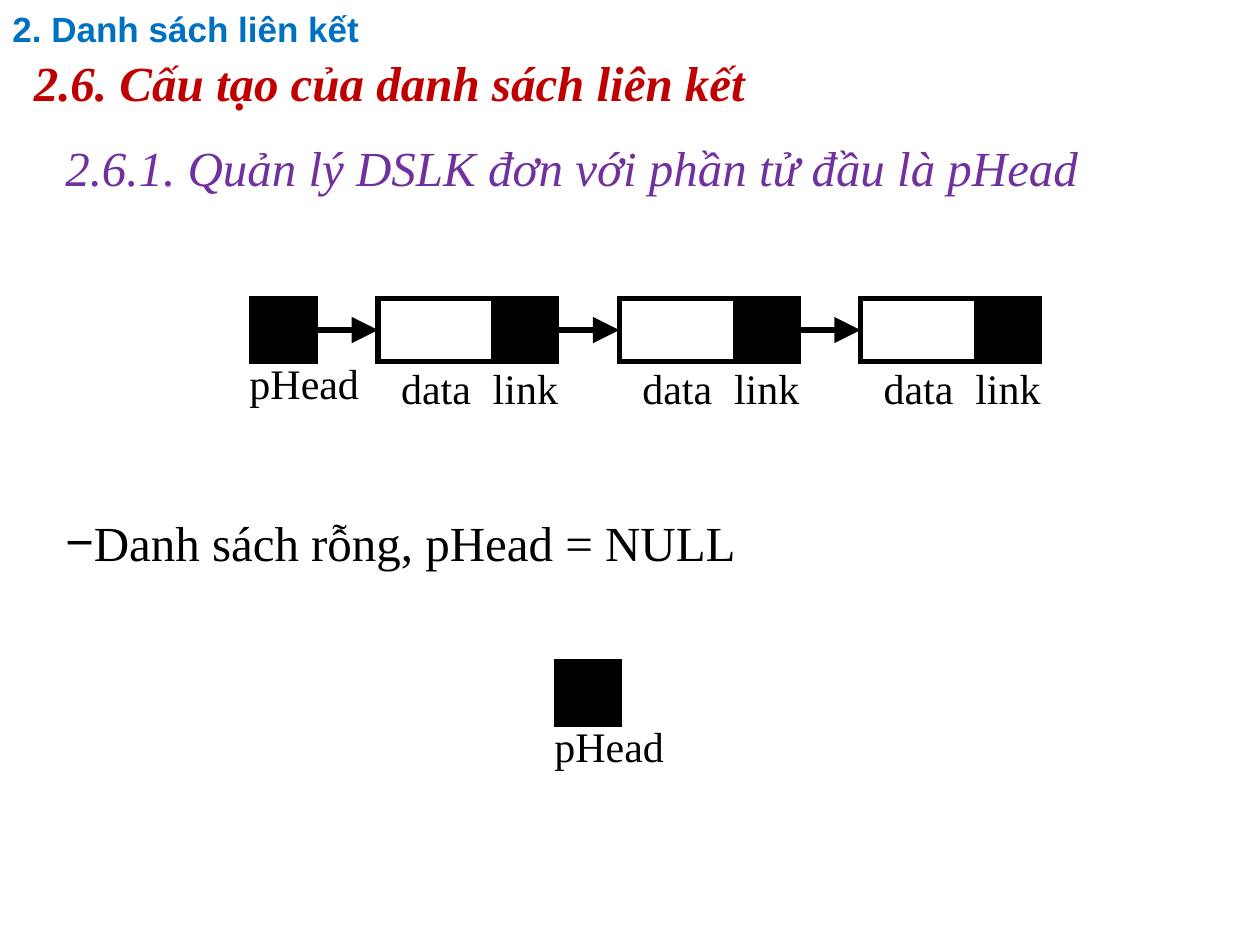
from lxml import etree
from pptx import Presentation
from pptx import util as u
from pptx.dml.color import RGBColor
from pptx.enum import shapes, text
from pptx.oxml.ns import qn

BLACK = RGBColor(0x00, 0x00, 0x00)
WHITE = RGBColor(0xFF, 0xFF, 0xFF)
BLUE = RGBColor(0x00, 0x70, 0xC0)
RED = RGBColor(0xC0, 0x00, 0x00)
PURPLE = RGBColor(0x70, 0x30, 0xA0)

SERIF = "Times New Roman"
SANS = "Arial"
CELL = 0.5
DATA_WIDTH = 0.92
NODE_PITCH = DATA_WIDTH + 2 * CELL - 0.005
LIST_LEFT, LIST_TOP = 2, 2.37
NODE_COUNT = 3
LABEL_OVERHANG = 0.1


def add_text(slide, box, words, size, color=BLACK, font_name=SERIF, bold=False, italic=False):
    shape = slide.shapes.add_textbox(*map(u.Inches, box))
    frame = shape.text_frame
    frame.text = words
    frame.word_wrap = True
    font = frame.paragraphs[0].runs[0].font
    font.name, font.size = font_name, u.Pt(size)
    font.bold, font.italic = bold, italic
    font.color.rgb = color
    return frame


def add_bullet(paragraph, mark, indent):
    properties = paragraph._p.get_or_add_pPr()
    properties.set("marL", str(u.Inches(indent)))
    properties.set("indent", str(-u.Inches(indent)))
    etree.SubElement(properties, qn("a:buFont"), typeface=SANS)
    etree.SubElement(properties, qn("a:buChar"), char=mark)


def add_label(slide, left, top, width, height, words):
    """Centre a label under a cell, in a box that overhangs it on both sides."""
    box = (left - LABEL_OVERHANG, top, width + 2 * LABEL_OVERHANG, height)
    frame = add_text(slide, box, words, 24)
    frame.word_wrap = False
    frame.vertical_anchor = text.MSO_ANCHOR.MIDDLE
    frame.margin_left = frame.margin_right = 0
    frame.paragraphs[0].alignment = text.PP_ALIGN.CENTER


def set_line(shape):
    shape.line.color.rgb = BLACK
    shape.line.width = u.Pt(3)
    line = shape.line._get_or_add_ln()
    etree.SubElement(line, qn("a:miter"), lim="800000")
    return line


def add_cell(slide, left, top, width, fill):
    box = map(u.Inches, (left, top, width, CELL))
    cell = slide.shapes.add_shape(shapes.MSO_SHAPE.RECTANGLE, *box)
    cell.shadow.inherit = False
    cell.fill.solid()
    cell.fill.fore_color.rgb = fill
    set_line(cell)


def add_arrow(slide, left, middle):
    points = map(u.Inches, (left, middle, left + CELL, middle))
    arrow = slide.shapes.add_connector(shapes.MSO_CONNECTOR.STRAIGHT, *points)
    etree.SubElement(set_line(arrow), qn("a:tailEnd"), type="triangle", w="lg", len="lg")
    etree.SubElement(arrow._element.spPr, qn("a:effectLst"))


def add_head(slide, left, top):
    add_cell(slide, left, top, CELL, BLACK)
    add_label(slide, left, top + CELL, 0.83, 0.33, "pHead")


def add_node(slide, left, top):
    link_left = left + DATA_WIDTH
    add_cell(slide, left, top, DATA_WIDTH, WHITE)
    add_cell(slide, link_left, top, CELL, BLACK)
    add_label(slide, left, top + CELL, DATA_WIDTH, 0.42, "data")
    add_label(slide, link_left, top + CELL, CELL, 0.42, "link")


def add_linked_list(slide):
    """Draw the head pointer and its nodes, each with an arrow leading to it."""
    add_head(slide, LIST_LEFT, LIST_TOP)
    for index in range(NODE_COUNT):
        left = LIST_LEFT + 2 * CELL + index * NODE_PITCH
        add_node(slide, left, LIST_TOP)
        add_arrow(slide, left - CELL, LIST_TOP + CELL / 2)


def main():
    presentation = Presentation()
    presentation.slide_width, presentation.slide_height = u.Inches(10), u.Inches(7.5)
    slide = presentation.slides.add_slide(presentation.slide_layouts[6])

    title = add_text(slide, (0, 0, 8.62, 0.5), "2. Danh sách liên kết", 20,
                     BLUE, SANS, bold=True)
    title.vertical_anchor = text.MSO_ANCHOR.MIDDLE
    title.paragraphs[0].line_spacing = 0.9
    add_text(slide, (0.17, 0.37, 9.58, 0.55), "2.6. Cấu tạo của danh sách liên kết", 28,
             RED, bold=True, italic=True)
    add_text(slide, (0.42, 1.04, 9.58, 0.55),
             "2.6.1. Quản lý DSLK đơn với phần tử đầu là pHead", 28, PURPLE, italic=True)
    add_linked_list(slide)

    empty_list = add_text(slide, (0.42, 4.02, 9.58, 0.55), "Danh sách rỗng, pHead = NULL", 28)
    add_bullet(empty_list.paragraphs[0], "−", 0.19)
    add_head(slide, 4.42, 5.25)

    presentation.save("out.pptx")


if __name__ == "__main__":
    main()
